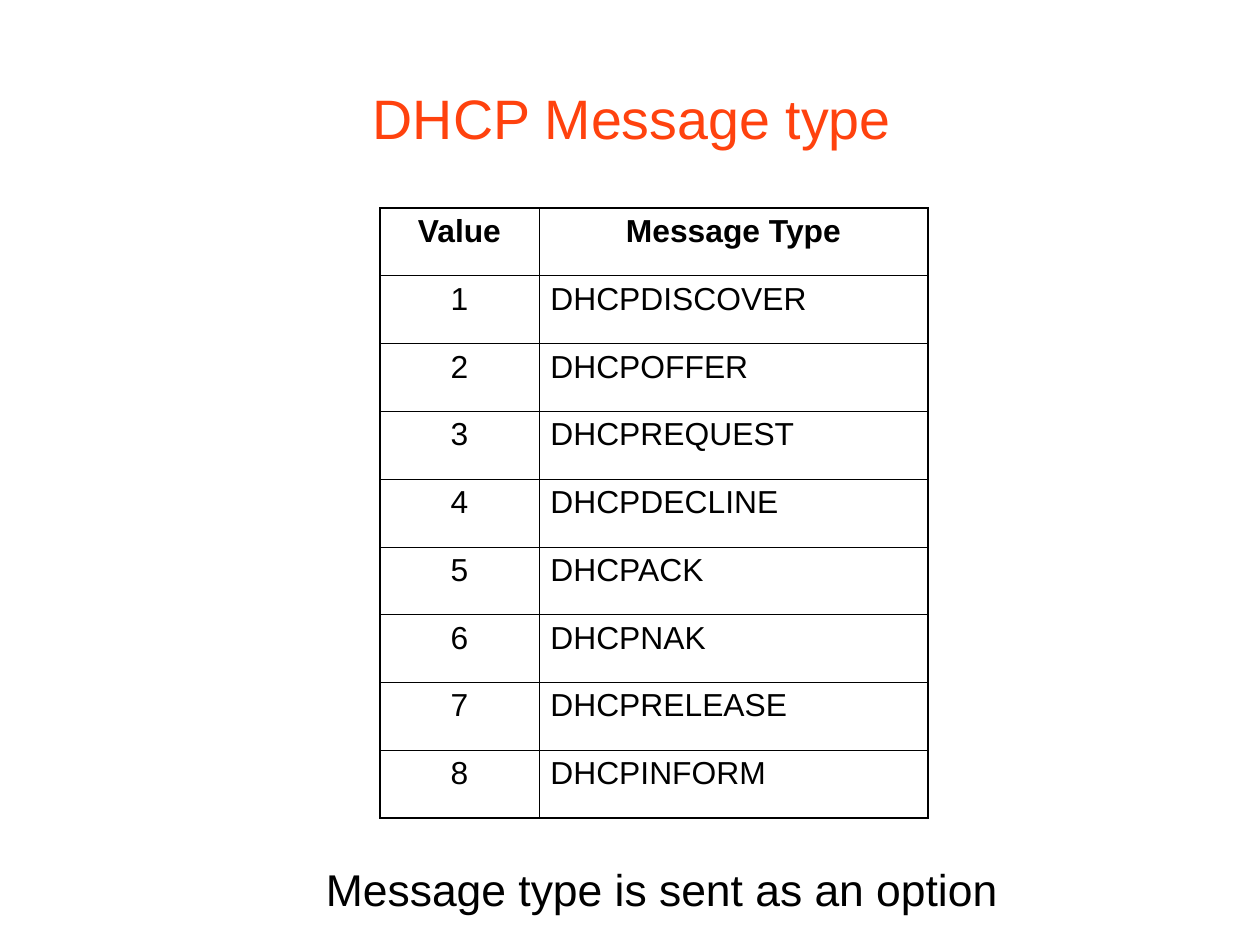
from dataclasses import dataclass

from lxml.etree import SubElement
from pptx import Presentation
from pptx.dml.color import RGBColor as RGB
from pptx.enum.text import MSO_ANCHOR as Anchor, PP_ALIGN as Align
from pptx.oxml.ns import qn
from pptx.slide import Slide
from pptx.table import _Cell as Cell
from pptx.util import Emu, Pt

EMU_PER_PX = 8000


@dataclass(frozen=True)
class Theme:
    font: str = "Arial"
    title_color: str = "FF420E"
    ink: str = "000000"
    title_size: int = 35
    note_size: int = 28
    cell_size: int = 20
    space_before: int = 5
    outer_line: float = 1.08
    inner_line: float = 0.45


@dataclass(frozen=True)
class Label:
    text: str
    x: int
    y: int
    w: int
    h: int
    size: int
    color: str
    align: Align
    anchor: Anchor
    inset: tuple[int, int]
    wrap: bool


THEME = Theme()
LABELS = [
    Label("DHCP Message type", -9, 38, 1282, 158, THEME.title_size,
          THEME.title_color, Align.CENTER, Anchor.MIDDLE, (0, 0), True),
    Label("Message type is sent as an option", 315, 856, 696, 61, THEME.note_size,
          THEME.ink, Align.LEFT, Anchor.TOP, (11, 6), False),
]
MESSAGES = ["DHCPDISCOVER", "DHCPOFFER", "DHCPREQUEST", "DHCPDECLINE",
            "DHCPACK", "DHCPNAK", "DHCPRELEASE", "DHCPINFORM"]
ROWS = [("Value", "Message Type")] + [
    (str(value), name) for value, name in enumerate(MESSAGES, start=1)]
COL_WIDTHS = [159, 389]
TABLE_X, TABLE_Y, TABLE_H = 380, 208, 610


def px(n: int) -> Emu:
    return Emu(n * EMU_PER_PX)


def style_text(tf, size: int, color: str, align: Align, bold: bool = False) -> None:
    p = tf.paragraphs[0]
    p.alignment = align
    font = p.runs[0].font
    font.name = THEME.font
    font.size = Pt(size)
    font.bold = bold
    font.color.rgb = RGB.from_string(color)


def add_label(slide: Slide, label: Label) -> None:
    sp = slide.shapes.add_textbox(px(label.x), px(label.y), px(label.w), px(label.h))
    tf = sp.text_frame
    tf.word_wrap = label.wrap
    tf.vertical_anchor = label.anchor
    tf.margin_left = tf.margin_right = px(label.inset[0])
    tf.margin_top = tf.margin_bottom = px(label.inset[1])
    tf.text = label.text
    style_text(tf, label.size, label.color, label.align)


def set_borders(cell: Cell, outer_sides: dict[str, bool]) -> None:
    tc_pr = cell._tc.get_or_add_tcPr()
    for side, is_outer in outer_sides.items():
        width = THEME.outer_line if is_outer else THEME.inner_line
        ln = SubElement(tc_pr, qn(f"a:ln{side}"), w=str(Pt(width)))
        fill = SubElement(ln, qn("a:solidFill"))
        SubElement(fill, qn("a:srgbClr"), val=THEME.ink)


def add_message_table(slide: Slide) -> None:
    table = slide.shapes.add_table(
        len(ROWS), len(COL_WIDTHS), px(TABLE_X), px(TABLE_Y),
        px(sum(COL_WIDTHS)), px(TABLE_H)).table
    table.first_row = table.horz_banding = False
    for column, width in zip(table.columns, COL_WIDTHS):
        column.width = px(width)
    last_row, last_col = len(ROWS) - 1, len(COL_WIDTHS) - 1
    for r, row in enumerate(ROWS):
        for c, text in enumerate(row):
            cell = table.cell(r, c)
            tf = cell.text_frame
            tf.text = text
            header = r == 0
            align = Align.CENTER if header or c == 0 else Align.LEFT
            style_text(tf, THEME.cell_size, THEME.ink, align, bold=header)
            tf.paragraphs[0].space_before = Pt(THEME.space_before)
            set_borders(cell, {"L": c == 0, "R": c == last_col,
                               "T": r == 0, "B": r == last_row})
            cell.fill.background()


def main() -> None:
    prs = Presentation()
    prs.slide_width, prs.slide_height = px(1260), px(945)
    slide = prs.slides.add_slide(prs.slide_layouts[6])
    title, note = LABELS
    add_label(slide, title)
    add_message_table(slide)
    add_label(slide, note)
    prs.save("out.pptx")


if __name__ == "__main__":
    main()
